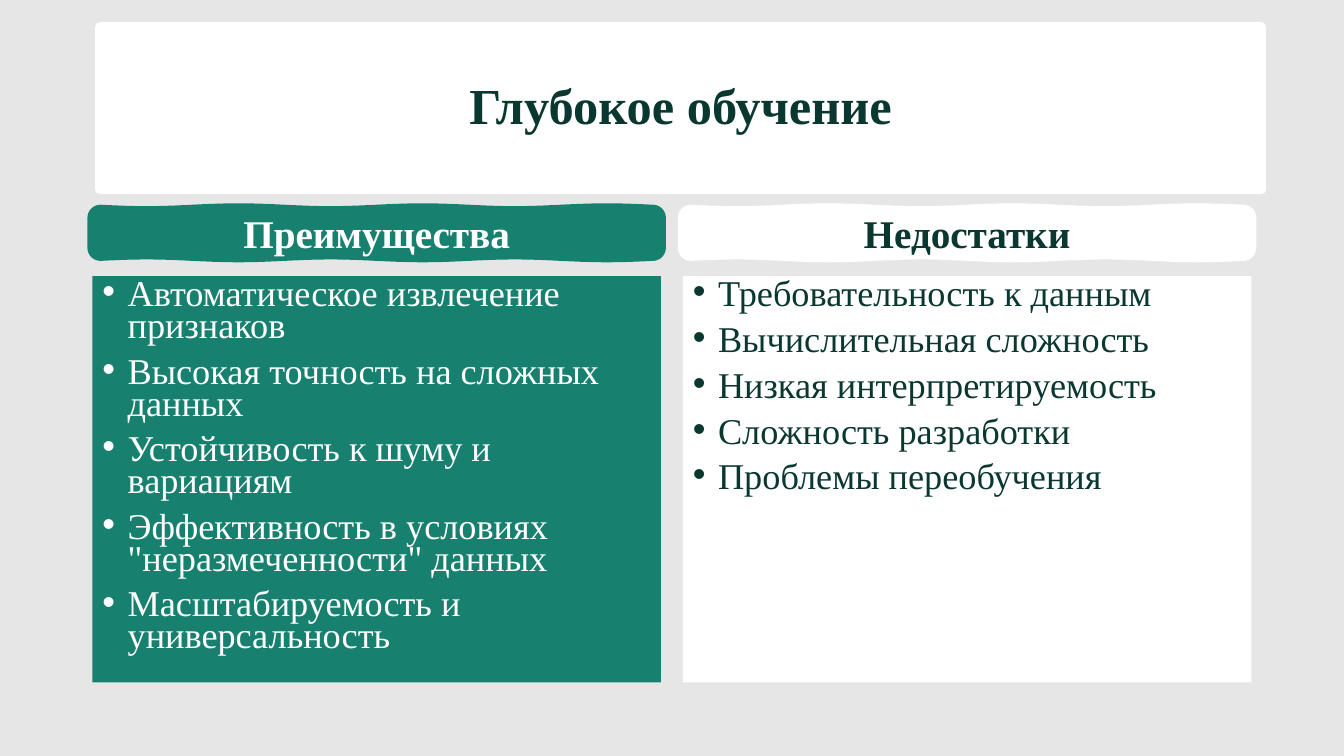
import math

import pptx
import pptx.dml.color
import pptx.enum.text
import pptx.oxml.ns
import pptx.util
from lxml import etree

GREEN, DARK, WHITE, GREY = "18806E", "0A3830", "FFFFFF", "E7E6E6"
COLUMN_LEFT, COLUMN_WIDTH, COLUMN_PITCH = 6.87, 42.31, 43.93
HEADING_TOP, HEADING_HEIGHT = 27.73, 6.13
BODY_TOP, BODY_HEIGHT = 36.53, 53.73

COLUMNS = [
    ("Преимущества", GREEN, WHITE, [
        "Автоматическое извлечение признаков",
        "Высокая точность на сложных данных",
        "Устойчивость к шуму и вариациям",
        'Эффективность в условиях "неразмеченности" данных',
        "Масштабируемость и универсальность",
    ]),
    ("Недостатки", WHITE, DARK, [
        "Требовательность к данным",
        "Вычислительная сложность",
        "Низкая интерпретируемость",
        "Сложность разработки",
        "Проблемы переобучения",
    ]),
]


def color(hex_string):
    return pptx.dml.color.RGBColor.from_string(hex_string)


def wavy_outline(left, top, width, height):
    """Return the points of a rounded bar with rippled long edges."""
    radius, ripple = pptx.util.Inches(0.08), pptx.util.Inches(0.014)
    right, bottom = left + width, top + height
    inner = width - 2 * radius
    steps = [step / 60 for step in range(61)]
    waves = [(t, ripple * math.sin(6 * math.pi * t)) for t in steps]

    def arc(center_x, center_y, start):
        angles = [math.radians(start + 15 * step) for step in range(7)]
        return [(center_x + radius * math.cos(angle),
                 center_y + radius * math.sin(angle)) for angle in angles]

    return ([(left + radius + inner * t, top + wave) for t, wave in waves]
            + arc(right - radius, top + radius, -90)
            + arc(right - radius, bottom - radius, 0)
            + [(right - radius - inner * t, bottom + wave) for t, wave in waves]
            + arc(left + radius, bottom - radius, 90)
            + arc(left + radius, top + radius, 180))


class SlideBuilder:
    """Draws styled elements, with lengths in percent of the slide's size."""

    font_name = "Times New Roman"
    outline_width = pptx.util.Pt(7)

    def __init__(self, presentation):
        self.width = presentation.slide_width
        self.height = presentation.slide_height
        self.slide = presentation.slides.add_slide(presentation.slide_layouts[3])
        background = self.slide.background.fill
        background.solid()
        background.fore_color.rgb = color(GREY)

    def area(self, left, top, width, height):
        return (round(left * self.width / 100), round(top * self.height / 100),
                round(width * self.width / 100), round(height * self.height / 100))

    def place(self, shape, area):
        shape.left, shape.top, shape.width, shape.height = self.area(*area)

    def paint(self, shape, fill, outlined):
        shape.fill.solid()
        shape.fill.fore_color.rgb = color(fill)
        if outlined:
            shape.line.color.rgb = color(fill)
            shape.line.width = self.outline_width
        else:
            shape.line.fill.background()

    def add_text(self, paragraph, text, size, text_color, bold=False):
        run = paragraph.add_run()
        run.text = text
        run.font.name = self.font_name
        run.font.size = pptx.util.Pt(size)
        run.font.bold = bold
        run.font.color.rgb = color(text_color)

    def add_centered_text(self, shape, text, size, text_color):
        frame = shape.text_frame
        frame.word_wrap = True
        frame.auto_size = pptx.enum.text.MSO_AUTO_SIZE.NONE
        frame.vertical_anchor = pptx.enum.text.MSO_ANCHOR.MIDDLE
        paragraph = frame.paragraphs[0]
        paragraph.alignment = pptx.enum.text.PP_ALIGN.CENTER
        self.add_text(paragraph, text, size, text_color, bold=True)

    def title(self, text, area):
        shape = self.slide.shapes.title
        self.place(shape, area)
        self.paint(shape, WHITE, outlined=True)
        self.add_centered_text(shape, text, 36, DARK)
        shape.text_frame.paragraphs[0].line_spacing = 0.9

    def heading(self, text, area, fill, text_color):
        points = wavy_outline(*self.area(*area))
        builder = self.slide.shapes.build_freeform(*points[0])
        builder.add_line_segments(points[1:], close=True)
        shape = builder.convert_to_shape()
        shape.shadow.inherit = False
        self.paint(shape, fill, outlined=True)
        self.add_centered_text(shape, text, 28, text_color)

    def bullet_list(self, index, items, area, fill, text_color):
        shape = self.slide.placeholders[index]
        self.place(shape, area)
        self.paint(shape, fill, outlined=False)
        frame = shape.text_frame
        frame.auto_size = pptx.enum.text.MSO_AUTO_SIZE.NONE
        for number, item in enumerate(items):
            paragraph = frame.add_paragraph() if number else frame.paragraphs[0]
            self.add_bullet(paragraph)
            paragraph.line_spacing = 0.73
            paragraph.space_before = pptx.util.Pt(10 if number else 0)
            self.add_text(paragraph, item, 25.9, text_color)

    def add_bullet(self, paragraph):
        indent = pptx.util.Inches(0.25)
        properties = paragraph._p.get_or_add_pPr()
        properties.set("marL", str(indent))
        properties.set("indent", str(-indent))
        font = etree.SubElement(properties, pptx.oxml.ns.qn("a:buFont"))
        font.set("typeface", "Arial")
        bullet = etree.SubElement(properties, pptx.oxml.ns.qn("a:buChar"))
        bullet.set("char", "•")


def main():
    presentation = pptx.Presentation()
    presentation.slide_width = pptx.util.Inches(13.33)
    presentation.slide_height = pptx.util.Inches(7.5)
    builder = SlideBuilder(presentation)
    builder.title("Глубокое обучение", (7.43, 3.6, 86.42, 21.47))
    for number, (heading, fill, text_color, items) in enumerate(COLUMNS):
        left = COLUMN_LEFT + number * COLUMN_PITCH
        builder.bullet_list(number + 1, items,
                            (left, BODY_TOP, COLUMN_WIDTH, BODY_HEIGHT),
                            fill, text_color)
        builder.heading(heading, (left, HEADING_TOP, COLUMN_WIDTH, HEADING_HEIGHT),
                        fill, text_color)
    presentation.save("out.pptx")


if __name__ == "__main__":
    main()
